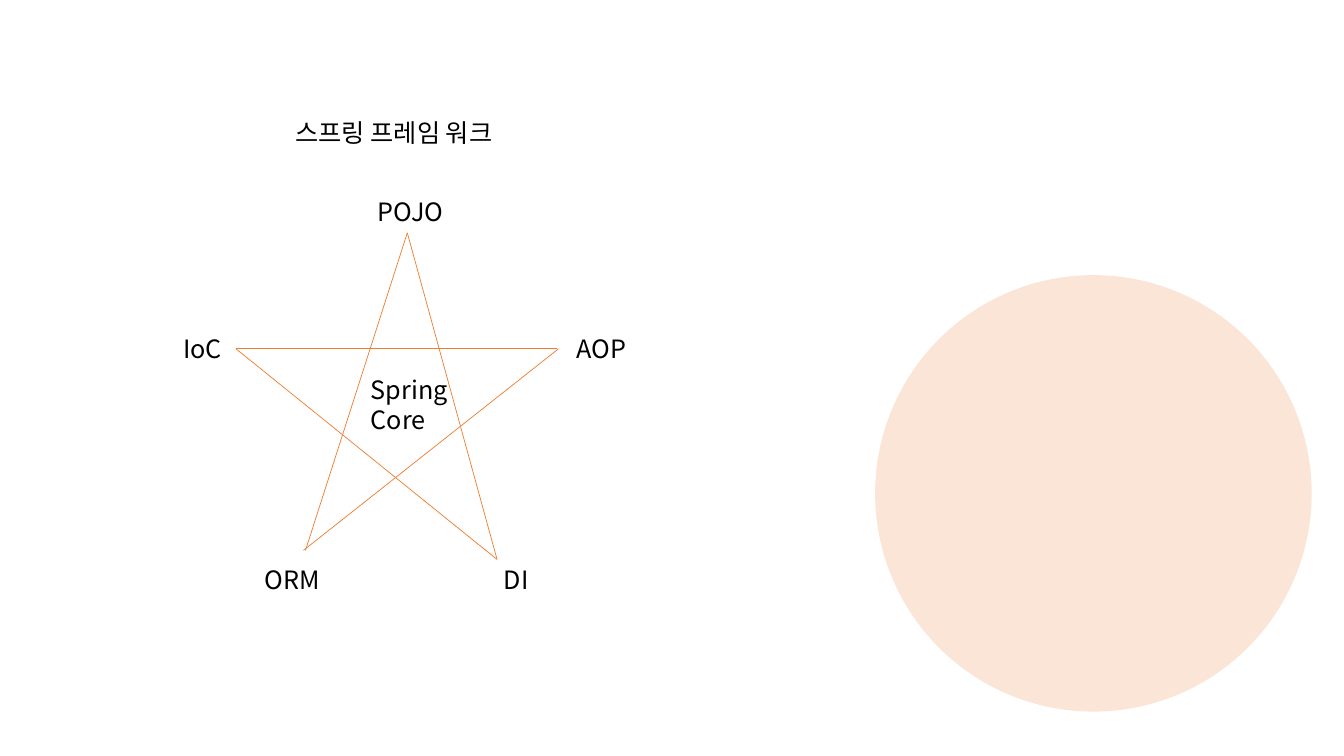
from lxml import etree
from pptx import Presentation
from pptx.dml.color import RGBColor
from pptx.enum.shapes import MSO_CONNECTOR, MSO_SHAPE
from pptx.enum.text import MSO_ANCHOR, MSO_AUTO_SIZE, PP_ALIGN
from pptx.oxml.ns import qn
from pptx.util import Inches, Pt

STRAIGHT = MSO_CONNECTOR.STRAIGHT
OVAL = MSO_SHAPE.OVAL
TOP = MSO_ANCHOR.TOP
GROW = MSO_AUTO_SIZE.SHAPE_TO_FIT_TEXT
LEFT = PP_ALIGN.LEFT
RIGHT_SIDE = 3

BLACK = RGBColor(0x00, 0x00, 0x00)
ORANGE = RGBColor(0xED, 0x7D, 0x31)
PEACH = RGBColor(0xFB, 0xE5, 0xD6)

FONT = "Noto Sans CJK KR"
TEXT_FORMAT = {"name": FONT, "size": Pt(18), "bold": False}
FRAME_FORMAT = {"word_wrap": True, "auto_size": GROW, "vertical_anchor": TOP}

TITLE_BOX = (2.83, 1.11, 3.5, 0.4)
LABELS = {
    "IoC": (1.72, 3.26, 0.62, 0.4),
    "AOP": (5.62, 3.26, 2.38, 0.4),
    "DI": (4.9, 5.55, 1.23, 0.4),
    "POJO": (3.65, 1.9, 2.38, 0.4),
    "Spring\nCore": (3.58, 3.66, 0.99, 0.71),
    "ORM": (2.53, 5.55, 1.23, 0.4),
}
POJO_TIP = (4.04, 2.31)
IOC_TIP = (2.34, 3.46)
DI_TIP = (4.93, 5.55)
STAR_LINES = [
    (POJO_TIP, (3.03, 5.46)),
    (POJO_TIP, DI_TIP),
    (IOC_TIP, (5.52, 3.46)),
    (IOC_TIP, DI_TIP),
    ((5.54, 3.46), (3.01, 5.46)),
]


class StarSlide:
    """Holds the slide and draws its elements in one style."""

    def __init__(self, prs):
        self.s = prs.slides.add_slide(prs.slide_layouts[5])

    def set_text(self, sp, text):
        tf = sp.text_frame
        tf.text = text
        for key, value in FRAME_FORMAT.items():
            setattr(tf, key, value)
        for p in tf.paragraphs:
            p.alignment = LEFT
            for r in p.runs:
                for key, value in TEXT_FORMAT.items():
                    setattr(r.font, key, value)
                r.font.color.rgb = BLACK
                ea = etree.SubElement(r.font._element, qn("a:ea"))
                ea.set("typeface", FONT)

    def title(self, text, box):
        sp = self.s.shapes.title
        sp.left, sp.top, sp.width, sp.height = map(Inches, box)
        self.set_text(sp, text)

    def label(self, text, box):
        sp = self.s.shapes.add_textbox(*map(Inches, box))
        self.set_text(sp, text)
        return sp

    def circle(self, left, top, size):
        sp = self.s.shapes.add_shape(
            OVAL, Inches(left), Inches(top), Inches(size), Inches(size))
        sp.shadow.inherit = False
        sp.fill.solid()
        sp.fill.fore_color.rgb = PEACH
        sp.line.fill.background()

    def line(self, start, end):
        cx = self.s.shapes.add_connector(STRAIGHT, *map(Inches, start + end))
        cx.line.color.rgb = ORANGE
        cx.line.width = Pt(0.5)
        etree.SubElement(cx._element.spPr, qn("a:effectLst"))
        return cx


def main():
    prs = Presentation()
    prs.slide_width, prs.slide_height = Inches(13.33), Inches(7.5)
    slide = StarSlide(prs)
    slide.circle(8.68, 2.73, 4.33)
    slide.title("스프링 프레임 워크", TITLE_BOX)
    labels = {text: slide.label(text, box) for text, box in LABELS.items()}
    for start, end in STAR_LINES:
        cx = slide.line(start, end)
        if start == IOC_TIP:
            cx.begin_connect(labels["IoC"], RIGHT_SIDE)
    prs.save("out.pptx")


if __name__ == "__main__":
    main()
